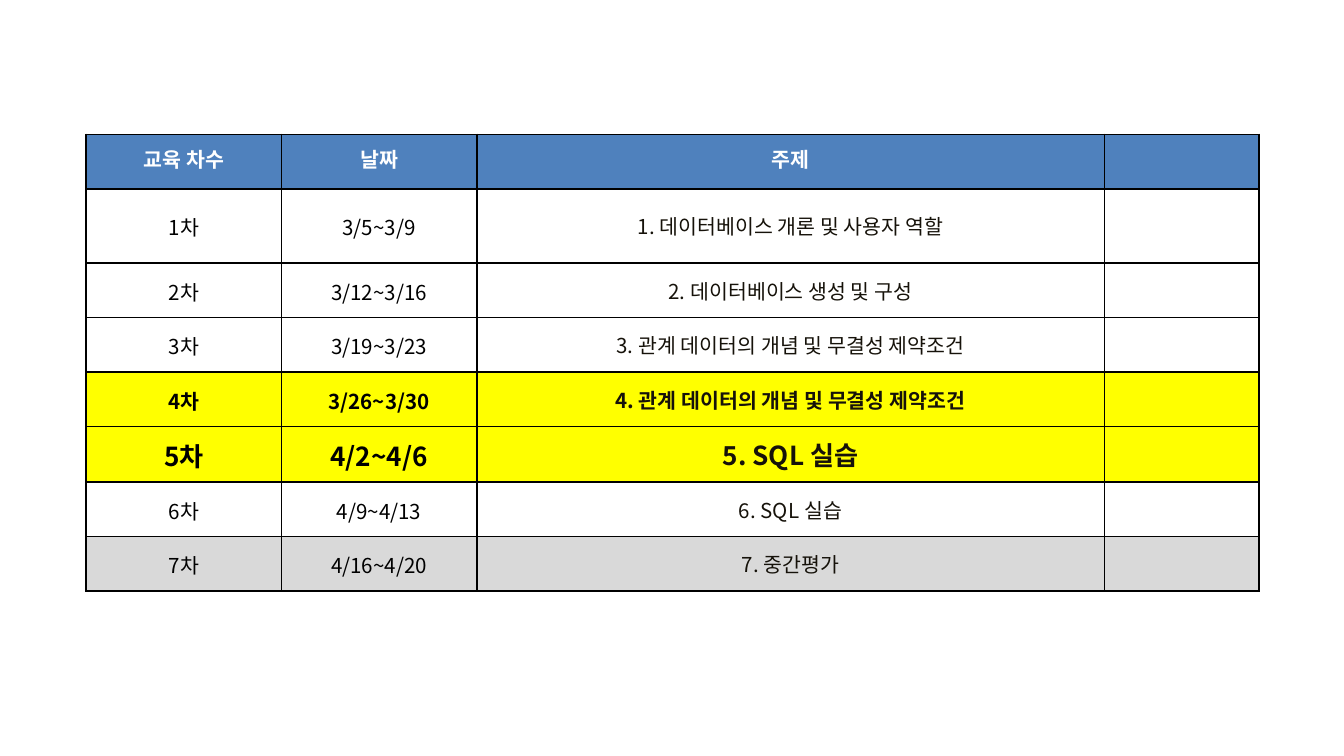
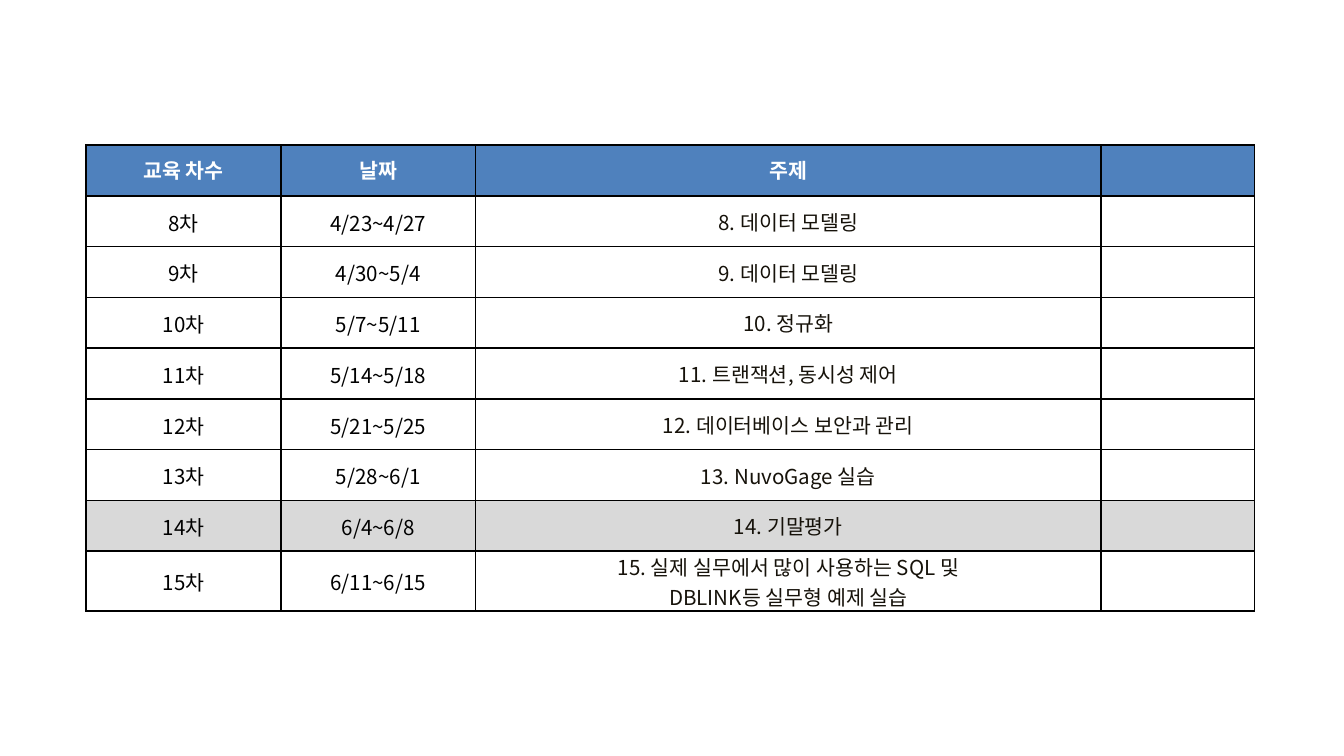
from lxml import etree
from pptx import Presentation
from pptx.dml.color import RGBColor
from pptx.enum import text
from pptx.oxml.ns import qn
from pptx.util import Cm, Pt

HEADER_BLUE = RGBColor(0x4F, 0x81, 0xBD)
CURRENT_YELLOW = RGBColor(0xFF, 0xFF, 0x00)
EXAM_GRAY = RGBColor(0xD9, 0xD9, 0xD9)
WHITE = RGBColor(0xFF, 0xFF, 0xFF)
BLACK = RGBColor(0x00, 0x00, 0x00)
TOPIC_INK = RGBColor(0x16, 0x12, 0x0A)
FONT = "Noto Sans CJK KR"
BODY_SIZE = 11
HEADINGS = ("교육 차수", "날짜", "주제", "")
HEADER_INSETS = (0.33, 0.18, 0.33, 0.18)
LABEL_INSETS = (0.03, 0.03, 0.03, 0)
NO_INSETS = (0, 0, 0, 0)

FIRST_HALF = dict(
    left=1.63, top=2.54, widths=(3.69, 3.69, 11.86, 2.92),
    heights=(1.03, 1.4, 1.03, 1.03, 1.03, 1.05, 1.03, 1.03),
    first_week=1,
    weeks=(
        ("3/5~3/9", "데이터베이스 개론 및 사용자 역할"),
        ("3/12~3/16", "데이터베이스 생성 및 구성"),
        ("3/19~3/23", "관계 데이터의 개념 및 무결성 제약조건"),
        ("3/26~3/30", "관계 데이터의 개념 및 무결성 제약조건"),
        ("4/2~4/6", "SQL 실습"),
        ("4/9~4/13", "SQL 실습"),
        ("4/16~4/20", "중간평가"),
    ),
)
SECOND_HALF = dict(
    left=1.63, top=2.74, widths=(3.68, 3.68, 11.82, 2.9),
    heights=(0.96,) * 8 + (1.12,),
    first_week=8,
    weeks=(
        ("4/23~4/27", "데이터 모델링"),
        ("4/30~5/4", "데이터 모델링"),
        ("5/7~5/11", "정규화"),
        ("5/14~5/18", "트랜잭션, 동시성 제어"),
        ("5/21~5/25", "데이터베이스 보안과 관리"),
        ("5/28~6/1", "NuvoGage 실습"),
        ("6/4~6/8", "기말평가"),
        ("6/11~6/15", "실제 실무에서 많이 사용하는 SQL 및\vDBLINK등 실무형 예제 실습"),
    ),
)
WEEK_STYLES = {
    4: dict(fill=CURRENT_YELLOW, bold=True),
    5: dict(fill=CURRENT_YELLOW, bold=True, size=14),
    7: dict(fill=EXAM_GRAY),
    14: dict(fill=EXAM_GRAY),
}


def draw_borders(cell):
    """Give a cell thin black lines on its four sides."""
    props = cell._tc.get_or_add_tcPr()
    for position, side in enumerate(("a:lnL", "a:lnR", "a:lnT", "a:lnB")):
        line = etree.Element(qn(side), w=str(Pt(1)))
        fill = etree.SubElement(line, qn("a:solidFill"))
        etree.SubElement(fill, qn("a:srgbClr"), val=str(BLACK))
        props.insert(position, line)


def fill_cell(cell, wording, ink, insets, anchor, fill=None, bold=False, size=BODY_SIZE):
    """Write and style one table cell."""
    cell.margin_left, cell.margin_top, cell.margin_right, cell.margin_bottom = map(Cm, insets)
    cell.vertical_anchor = anchor
    if fill is None:
        cell.fill.background()
    else:
        cell.fill.solid()
        cell.fill.fore_color.rgb = fill
    draw_borders(cell)
    paragraph = cell.text_frame.paragraphs[0]
    paragraph.text = wording
    paragraph.alignment = text.PP_ALIGN.CENTER
    font = paragraph.font
    font.size, font.bold, font.name = Pt(size), bold, FONT
    font.color.rgb = ink
    latin = paragraph._p.pPr.find(qn("a:defRPr")).find(qn("a:latin"))
    latin.addnext(etree.Element(qn("a:ea"), typeface=FONT))


def add_schedule(slide, left, top, widths, heights, first_week, weeks):
    """Place a course schedule with a header row and one row per week."""
    schedule = slide.shapes.add_table(
        len(heights), len(widths), Cm(left), Cm(top), Cm(sum(widths)), Cm(sum(heights))
    ).table
    schedule.horz_banding = False
    for column, width in zip(schedule.columns, widths):
        column.width = Cm(width)
    for row, height in zip(schedule.rows, heights):
        row.height = Cm(height)
    for cell, heading in zip(schedule.rows[0].cells, HEADINGS):
        fill_cell(cell, heading, WHITE, HEADER_INSETS if heading else NO_INSETS,
                  text.MSO_ANCHOR.TOP, fill=HEADER_BLUE, bold=True)
    for index, (dates, topic) in enumerate(weeks):
        week = first_week + index
        entries = (
            (f"{week}차", BLACK, LABEL_INSETS),
            (dates, BLACK, LABEL_INSETS),
            (f"{week}. {topic}", TOPIC_INK, NO_INSETS),
            ("", BLACK, NO_INSETS),
        )
        for cell, entry in zip(schedule.rows[index + 1].cells, entries):
            fill_cell(cell, *entry, text.MSO_ANCHOR.MIDDLE, **WEEK_STYLES.get(week, {}))


def main():
    """Build the two schedule slides."""
    deck = Presentation()
    deck.slide_width, deck.slide_height = Cm(25.4), Cm(14.29)
    for half in (FIRST_HALF, SECOND_HALF):
        add_schedule(deck.slides.add_slide(deck.slide_layouts[6]), **half)
    deck.save("out.pptx")


if __name__ == "__main__":
    main()
